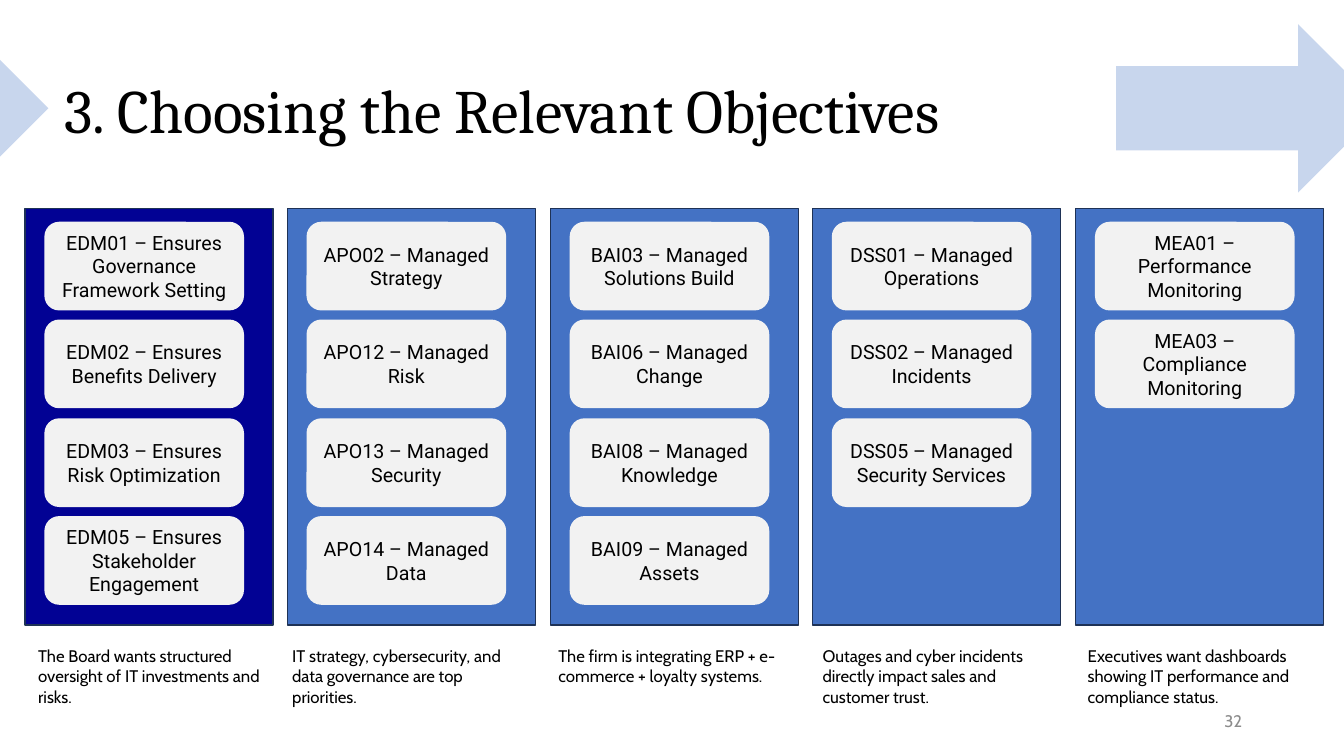
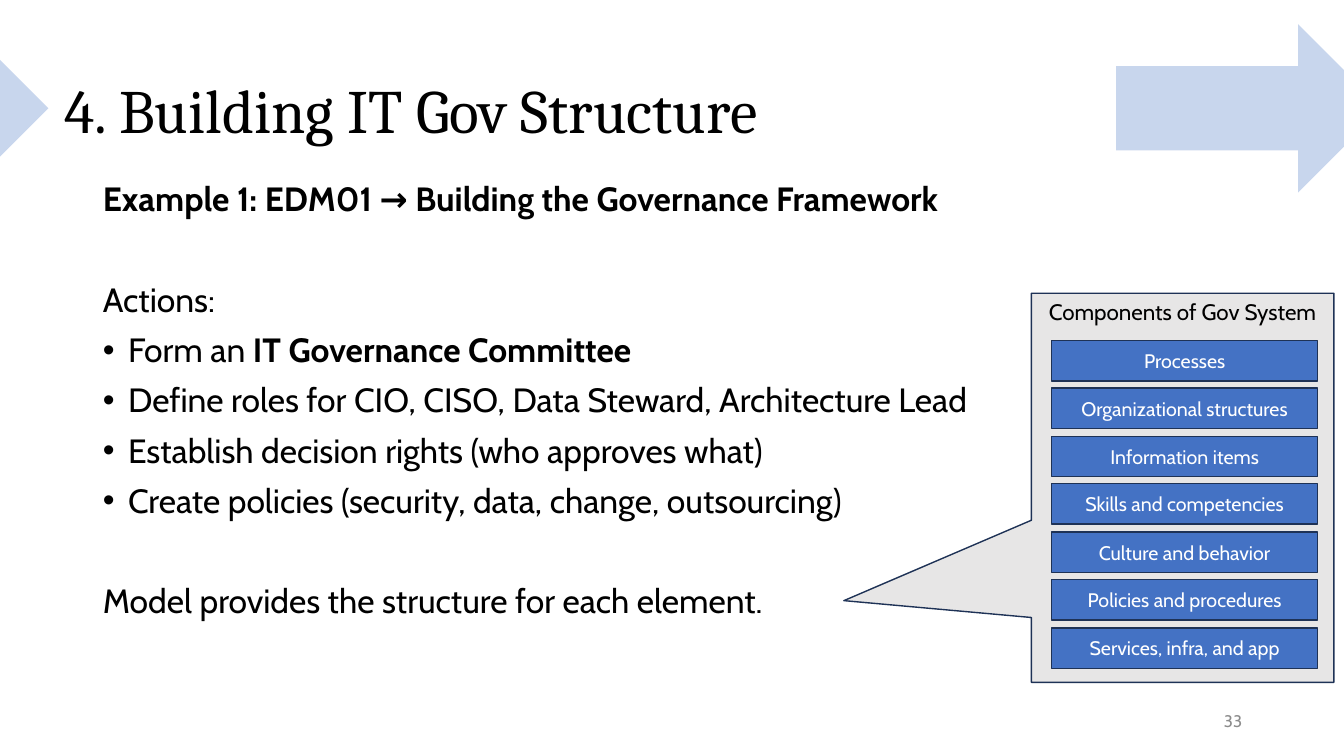
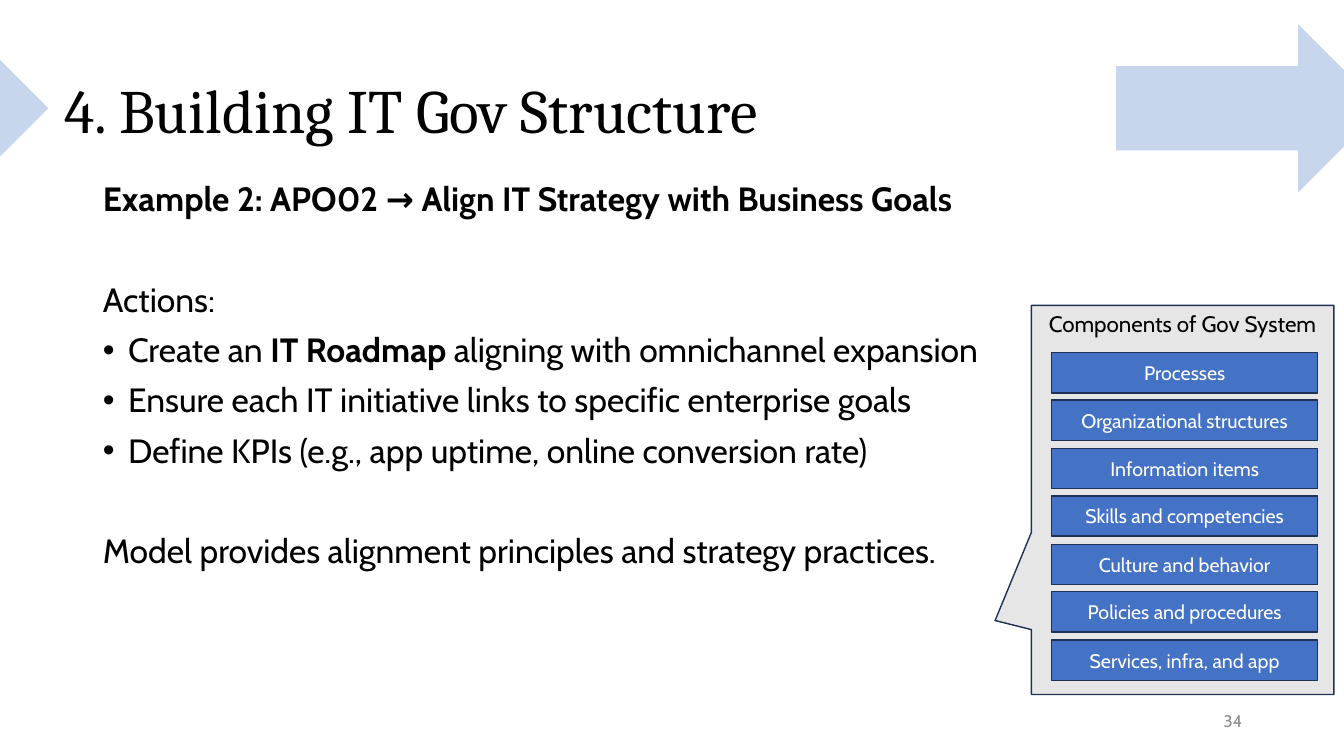
import pptx
import pptx.util
import pptx.dml.color
import pptx.enum.shapes
import pptx.enum.text
import pptx.oxml.ns
import lxml.etree

RGB = pptx.dml.color.RGBColor
BLUE = RGB(0x44, 0x72, 0xC4)
NAVY = RGB(0x02, 0x02, 0x94)
EDGE = RGB(0x1E, 0x32, 0x56)
PALE = RGB(0xF2, 0xF2, 0xF2)
GREY = RGB(0xE7, 0xE6, 0xE6)
DIM = RGB(0x8C, 0x8C, 0x8C)
BLACK = RGB(0, 0, 0)
WHITE = RGB(255, 255, 255)
PX = 9144  # 100 px to the inch

KIND = pptx.enum.shapes.MSO_SHAPE
ALIGN = pptx.enum.text.PP_ALIGN
ANCHOR = pptx.enum.text.MSO_ANCHOR
FIT = pptx.enum.text.MSO_AUTO_SIZE
qn = pptx.oxml.ns.qn


def box(slide, kind, x, y, w, h, fill, line=None):
    shape = slide.shapes.add_shape(kind, x * PX, y * PX, w * PX, h * PX)
    shape.shadow.inherit = False
    shape.fill.solid()
    shape.fill.fore_color.rgb = fill
    if line is None:
        shape.line.fill.background()
    else:
        shape.line.color.rgb = line
        shape.line.width = pptx.util.Pt(1)
    return shape


def style(frame, size, ink=BLACK, face="Cabin", align=ALIGN.LEFT,
          anchor=ANCHOR.TOP):
    """Format all text of a frame alike."""
    frame.word_wrap = True
    frame.auto_size = FIT.NONE
    frame.vertical_anchor = anchor
    for para in frame.paragraphs:
        para.alignment = align
        for run in para.runs:
            run.font.size = pptx.util.Pt(size)
            run.font.name = face
            run.font.color.rgb = ink


deck = pptx.Presentation()
deck.slide_width = 1333 * PX
deck.slide_height = 750 * PX

# Title, page number and arrows on every slide
TITLES = [
    ("3. Choosing the Relevant Objectives", 5),
    ("4. Building IT Gov Structure", 1),
    ("4. Building IT Gov Structure", 1),
]
slides = []
for page, (text, layout) in enumerate(TITLES, 32):
    slide = deck.slides.add_slide(deck.slide_layouts[layout])
    slides.append(slide)
    for x, w in [(1107, 264), (-173, 221)]:
        arrow = box(slide, KIND.RIGHT_ARROW, x, 24, w, 167, BLUE)
        tint = arrow.fill._xPr.find(".//" + qn("a:srgbClr"))
        lxml.etree.SubElement(tint, qn("a:alpha")).set("val", "29000")

    title = slide.shapes.title
    title.left, title.top = 54 * PX, 40 * PX
    title.width, title.height = 1150 * PX, 145 * PX
    title.text_frame.text = text
    title.text_frame.paragraphs[0].line_spacing = 0.9
    style(title.text_frame, 44, face="Cambria", anchor=ANCHOR.MIDDLE)

    label = slide.shapes.add_textbox(942 * PX, 695 * PX, 300 * PX, 40 * PX)
    label.text_frame.text = str(page)
    style(label.text_frame, 12, DIM, align=ALIGN.RIGHT, anchor=ANCHOR.MIDDLE)

# Objectives: one column per domain, with its reason below
COLUMNS = [
    (NAVY, 28, "The Board wants structured oversight of IT investments and risks.",
     ["EDM01 – Ensures Governance Framework Setting",
      "EDM02 – Ensures Benefits Delivery",
      "EDM03 – Ensures Risk Optimization",
      "EDM05 – Ensures Stakeholder Engagement"]),
    (BLUE, 280, "IT strategy, cybersecurity, and data governance are top priorities.",
     ["APO02 – Managed Strategy", "APO12 – Managed Risk",
      "APO13 – Managed Security", "APO14 – Managed Data"]),
    (BLUE, 544, "The firm is integrating ERP + e-commerce + loyalty systems.",
     ["BAI03 – Managed Solutions Build", "BAI06 – Managed Change",
      "BAI08 – Managed Knowledge", "BAI09 – Managed Assets"]),
    (BLUE, 806, "Outages and cyber incidents directly impact sales and customer trust.",
     ["DSS01 – Managed Operations", "DSS02 – Managed Incidents",
      "DSS05 – Managed Security Services"]),
    (BLUE, 1069, "Executives want dashboards showing IT performance and compliance status.",
     ["MEA01 – Performance Monitoring", "MEA03 – Compliance Monitoring"]),
]
slide = slides[0]
for col, (fill, left, reason, cards) in enumerate(COLUMNS):
    x = 25 + 521 * col // 2
    box(slide, KIND.RECTANGLE, x, 207, 246, 413, fill, EDGE)
    for row, text in enumerate(cards):
        card = box(slide, KIND.ROUNDED_RECTANGLE, x + 19, 220 + 195 * row // 2,
                   198, 88, PALE)
        card.text_frame.text = text
        style(card.text_frame, 14, face="Roboto", align=ALIGN.CENTER,
              anchor=ANCHOR.MIDDLE)
    note = slide.shapes.add_textbox(left * PX, 636 * PX, 246 * PX, 71 * PX)
    note.text_frame.text = reason
    style(note.text_frame, 12)

# Examples: actions on the left, callout on the right; *stars* mark bold
PARTS = ["Processes", "Organizational structures", "Information items",
         "Skills and competencies", "Culture and behavior",
         "Policies and procedures", "Services, infra, and app"]
CASES = [
    (1150, 291, (-1.12, 0.29),
     "Example 1: EDM01 → Building the Governance Framework",
     ["Form an *IT Governance Committee*",
      "Define roles for CIO, CISO, Data Steward, Architecture Lead",
      "Establish decision rights (who approves what)",
      "Create policies (security, data, change, outsourcing)"],
     "Model provides the structure for each element."),
    (924, 303, (-0.62, 0.31),
     "Example 2: APO02 → Align IT Strategy with Business Goals",
     ["Create an *IT Roadmap* aligning with omnichannel expansion",
      "Ensure each IT initiative links to specific enterprise goals",
      "Define KPIs (e.g., app uptime, online conversion rate)"],
     "Model provides alignment principles and strategy practices."),
]
for slide, (width, top, tip, head, acts, close) in zip(slides[1:], CASES):
    body = slide.placeholders[1]
    body.left, body.top = 92 * PX, 176 * PX
    body.width, body.height = width * PX, 483 * PX
    frame = body.text_frame
    lines = [(f"*{head}*", 0, False), ("Actions:", 46, False)]
    lines += [(act, 10, True) for act in acts]
    lines += [(close, 46, False)]
    for index, (text, space, listed) in enumerate(lines):
        para = frame.add_paragraph() if index else frame.paragraphs[0]
        props = para._p.get_or_add_pPr()
        indent = 25 * PX if listed else 0
        props.set("marL", str(indent))
        props.set("indent", str(-indent))
        if listed:
            lxml.etree.SubElement(props, qn("a:buChar")).set("char", "•")
        else:
            lxml.etree.SubElement(props, qn("a:buNone"))
        para.line_spacing = 0.9
        para.space_before = pptx.util.Pt(space)
        for turn, piece in enumerate(text.split("*")):
            if piece:
                run = para.add_run()
                run.text = piece
                run.font.bold = turn % 2 == 1
    style(frame, 24)

    panel = box(slide, KIND.RECTANGULAR_CALLOUT, 1023, top, 300, 386, GREY, EDGE)
    panel.adjustments[0], panel.adjustments[1] = tip
    panel.text_frame.text = "Components of Gov System"
    style(panel.text_frame, 16, align=ALIGN.CENTER)
    for row, text in enumerate(PARTS):
        part = box(slide, KIND.RECTANGLE, 1043, top + 47 + 95 * row // 2,
                   264, 40, BLUE, EDGE)
        part.text_frame.text = text
        style(part.text_frame, 14, WHITE, align=ALIGN.CENTER,
              anchor=ANCHOR.MIDDLE)

deck.save("out.pptx")
